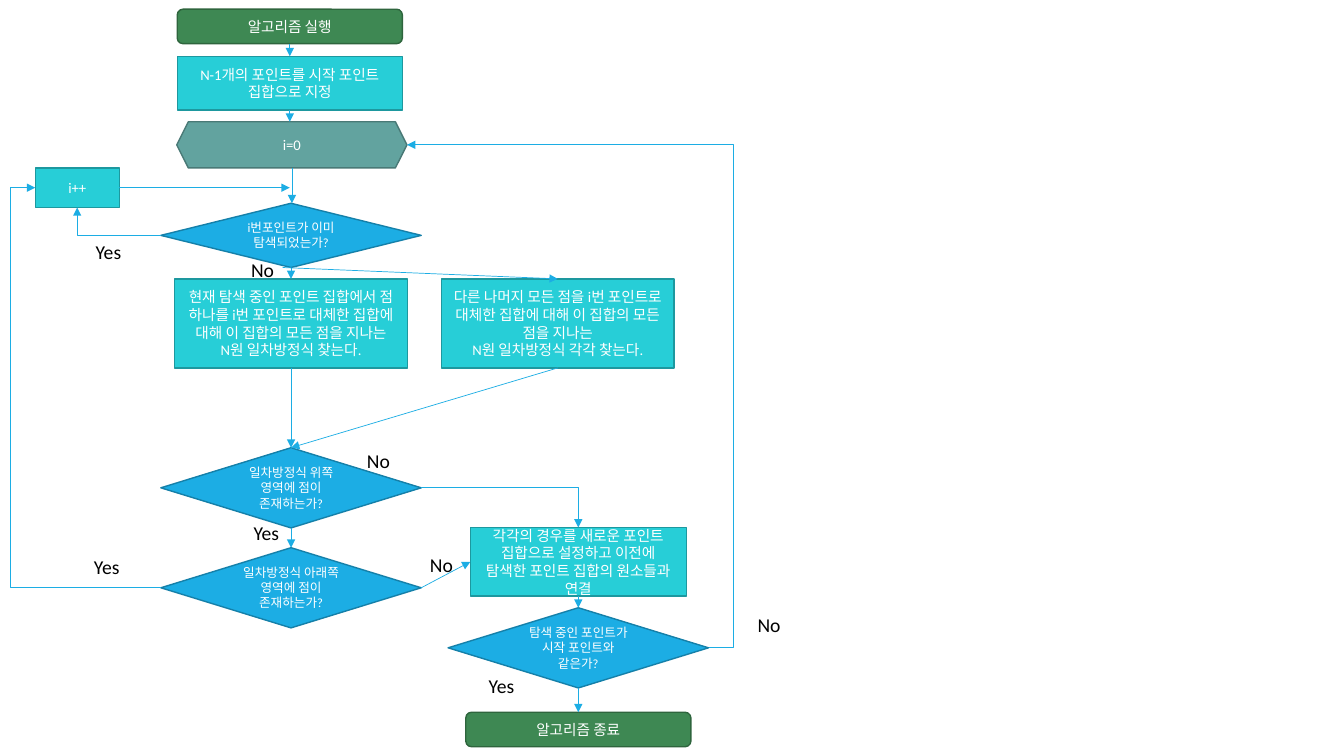
from dataclasses import dataclass
from typing import Optional

import pptx
import pptx.dml.color
import pptx.enum.shapes
import pptx.enum.text
import pptx.oxml
import pptx.oxml.ns
import pptx.util

RGBColor = pptx.dml.color.RGBColor
MSO_SHAPE = pptx.enum.shapes.MSO_SHAPE
MSO_CONNECTOR = pptx.enum.shapes.MSO_CONNECTOR
qn = pptx.oxml.ns.qn

WHITE = RGBColor(0xFF, 0xFF, 0xFF)
BLACK = RGBColor(0x00, 0x00, 0x00)
GREEN = RGBColor(0x3E, 0x88, 0x53)
DARK_GREEN = RGBColor(0x2E, 0x65, 0x3D)
CYAN = RGBColor(0x27, 0xCE, 0xD7)
DARK_CYAN = RGBColor(0x1D, 0x98, 0x9F)
SAGE = RGBColor(0x62, 0xA3, 0x9F)
DARK_SAGE = RGBColor(0x49, 0x79, 0x76)
BLUE = RGBColor(0x1C, 0xAD, 0xE4)
DARK_BLUE = RGBColor(0x15, 0x80, 0xA9)

FONT = "Calibri"
COLS, ROWS = 160, 90
WIDTH, HEIGHT = pptx.util.Inches(13.333), pptx.util.Inches(7.5)


@dataclass(frozen=True)
class Style:
    """Look shared by all nodes of one kind."""
    preset: MSO_SHAPE
    fill: RGBColor
    line: RGBColor
    size: float = 10.5


@dataclass(frozen=True)
class Node:
    """Flowchart step: centre column, top row and size in grid cells."""
    style: Style
    cx: float
    top: float
    width: float
    height: float
    text: str

    @property
    def left(self) -> float:
        """Column of the left side."""
        return self.cx - self.width / 2

    @property
    def right(self) -> float:
        """Column of the right side."""
        return self.cx + self.width / 2

    @property
    def bottom(self) -> float:
        """Row of the bottom side."""
        return self.top + self.height

    @property
    def cy(self) -> float:
        """Row of the middle."""
        return self.top + self.height / 2


@dataclass(frozen=True)
class Arrow:
    """Arrow between two grid points; a corner has one bend, a lane two."""
    x1: float
    y1: float
    x2: float
    y2: float
    corner: bool = False
    lane: Optional[float] = None


@dataclass(frozen=True)
class Label:
    """Answer beside an arrow."""
    text: str
    col: float
    row: float


def x(col: float) -> int:
    """Turn grid columns into a length."""
    return round(WIDTH * col / COLS)


def y(row: float) -> int:
    """Turn grid rows into a length."""
    return round(HEIGHT * row / ROWS)


def down(a: Node, b: Node) -> Arrow:
    """Arrow straight down from one node to the next."""
    return Arrow(a.cx, a.bottom, a.cx, b.top)


def write(tf, text: str, size: float, color: RGBColor) -> None:
    """Fill a text frame and format its runs."""
    tf.text = text
    for p in tf.paragraphs:
        for r in p.runs:
            r.font.size = pptx.util.Pt(size)
            r.font.name = FONT
            r.font.color.rgb = color


def draw_node(s, node: Node) -> None:
    """Draw a flowchart step with centred text."""
    sp = s.shapes.add_shape(node.style.preset, x(node.left), y(node.top),
                            x(node.width), y(node.height))
    sp.shadow.inherit = False
    sp.fill.solid()
    sp.fill.fore_color.rgb = node.style.fill
    sp.line.color.rgb = node.style.line
    sp.line.width = pptx.util.Pt(1)
    tf = sp.text_frame
    tf.word_wrap = True
    tf.margin_left = tf.margin_right = pptx.util.Inches(0.12)
    tf.vertical_anchor = pptx.enum.text.MSO_ANCHOR.MIDDLE
    write(tf, node.text, node.style.size, WHITE)
    for p in tf.paragraphs:
        p.alignment = pptx.enum.text.PP_ALIGN.CENTER


def draw_arrow(s, arrow: Arrow) -> None:
    """Draw a straight or bent connector with a triangular head."""
    bent = arrow.corner or arrow.lane is not None
    kind = MSO_CONNECTOR.ELBOW if bent else MSO_CONNECTOR.STRAIGHT
    cn = s.shapes.add_connector(kind, x(arrow.x1), y(arrow.y1), x(arrow.x2), y(arrow.y2))
    cn.line.color.rgb = BLUE
    cn.line.width = pptx.util.Pt(0.5)
    sppr = cn._element.spPr
    ln = sppr.find(qn("a:ln"))
    ln.append(ln.makeelement(qn("a:tailEnd"), {"type": "triangle"}))
    sppr.append(sppr.makeelement(qn("a:effectLst"), {}))
    geom = sppr.find(qn("a:prstGeom"))
    if arrow.corner:
        geom.set("prst", "bentConnector2")
    if arrow.lane is not None:
        share = (arrow.lane - arrow.x1) / (arrow.x2 - arrow.x1)
        guide = geom.makeelement(qn("a:gd"), {"name": "adj1", "fmla": f"val {round(share * 100000)}"})
        geom.find(qn("a:avLst")).append(guide)


def draw_label(s, label: Label) -> None:
    """Draw a Yes or No answer on one line."""
    sp = s.shapes.add_textbox(x(label.col), y(label.row), x(5.4), y(3.4))
    tf = sp.text_frame
    tf.word_wrap = False
    tf.auto_size = pptx.enum.text.MSO_AUTO_SIZE.SHAPE_TO_FIT_TEXT
    tf.margin_right = 0
    write(tf, label.text, 14, BLACK)


TERMINAL = Style(MSO_SHAPE.ROUNDED_RECTANGLE, GREEN, DARK_GREEN)
PROCESS = Style(MSO_SHAPE.RECTANGLE, CYAN, DARK_CYAN)
PREPARE = Style(MSO_SHAPE.HEXAGON, SAGE, DARK_SAGE)
DECISION = Style(MSO_SHAPE.DIAMOND, BLUE, DARK_BLUE, 9)

FIRST, MAIN, SIDE = 34.5, 34.65, 68.85

start = Node(TERMINAL, FIRST, 1.1, 26.8, 4.1, "알고리즘 실행")
init = Node(PROCESS, FIRST, 6.7, 26.8, 6.4, "N-1개의 포인트를 시작 포인트 집합으로 지정")
loop = Node(PREPARE, 34.75, 14.5, 27.4, 5.5, "i=0")
step = Node(PROCESS, 9.2, 20, 10, 4.7, "i++")
visited = Node(DECISION, MAIN, 24.2, 31, 7.65, "i번포인트가 이미 탐색되었는가?")
solve = Node(PROCESS, MAIN, 33.2, 27.7, 10.6,
             "현재 탐색 중인 포인트 집합에서 점 하나를 i번 포인트로 대체한 "
             "집합에 대해 이 집합의 모든 점을 지나는\nN원 일차방정식 찾는다.")
others = Node(PROCESS, 66.4, 33.2, 27.7, 10.6,
              "다른 나머지 모든 점을 i번 포인트로 대체한 집합에 대해 이 "
              "집합의 모든 점을 지나는\nN원 일차방정식 각각 찾는다.")
above = Node(DECISION, MAIN, 53.3, 31, 9.55, "일차방정식 위쪽 영역에 점이 존재하는가?")
below = Node(DECISION, MAIN, 65.2, 31, 9.55, "일차방정식 아래쪽 영역에 점이 존재하는가?")
collect = Node(PROCESS, SIDE, 62.8, 25.7, 8.15,
               "각각의 경우를 새로운 포인트 집합으로 설정하고 이전에 "
               "탐색한 포인트 집합의 원소들과 연결")
same = Node(DECISION, SIDE, 72.35, 31, 9.55, "탐색 중인 포인트가 시작 포인트와 같은가?")
end = Node(TERMINAL, SIDE, 84.8, 26.8, 4.1, "알고리즘 종료")

NODES = [start, init, loop, step, visited, solve, others, above, below, collect, same, end]
CHAIN = [(start, init), (init, loop), (loop, visited), (visited, solve), (solve, above),
         (above, below), (collect, same), (same, end)]
ARROWS = [down(a, b) for a, b in CHAIN] + [
    Arrow(above.cx, above.top + 1.5, above.cx, above.top),
    Arrow(step.right, step.cy, FIRST, step.cy),
    Arrow(visited.left, visited.cy, step.cx, step.bottom, corner=True),
    Arrow(visited.cx - 1, visited.bottom, others.cx, others.top),
    Arrow(others.cx, others.bottom, above.cx, above.top),
    Arrow(above.right, above.cy, collect.cx, collect.top, corner=True),
    Arrow(below.right, below.cy, collect.left, collect.cy),
    Arrow(below.left, below.cy, step.left, step.cy, lane=1.2),
    Arrow(same.right, same.cy, loop.right, loop.cy, lane=87.35),
]
LABELS = [
    Label("Yes", 10.2, 28), Label("No", 28.7, 30.1), Label("No", 42.5, 52.8),
    Label("Yes", 29, 61.4), Label("Yes", 10, 65.5), Label("No", 50, 65.2),
    Label("Yes", 57, 79.6), Label("No", 89, 72.4),
]

prs = pptx.Presentation()
prs.slide_width, prs.slide_height = WIDTH, HEIGHT
s = prs.slides.add_slide(prs.slide_layouts[6])
for node in NODES:
    draw_node(s, node)
for arrow in ARROWS:
    draw_arrow(s, arrow)
for label in LABELS:
    draw_label(s, label)
prs.save("out.pptx")
